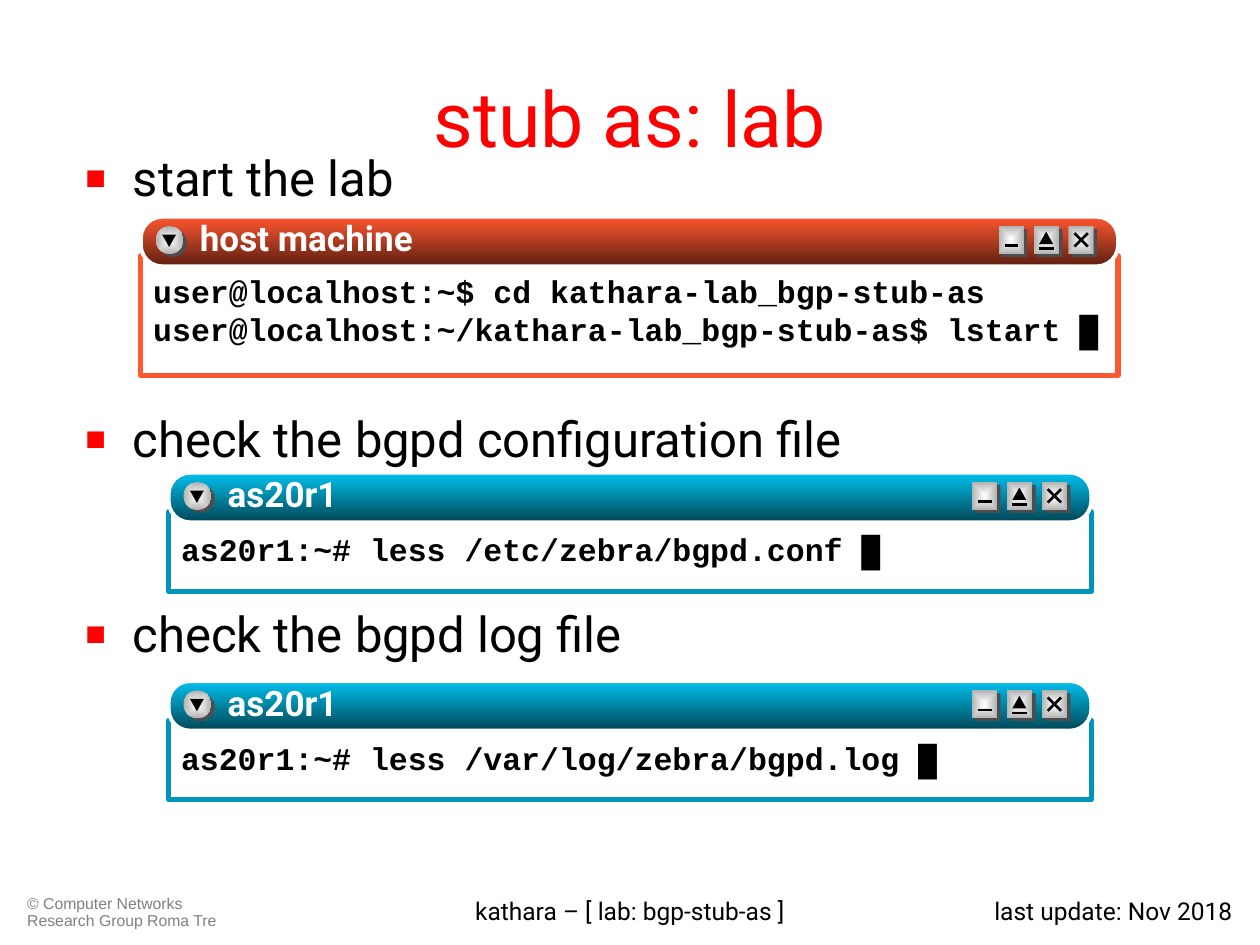
from lxml import etree
from pptx import Presentation
from pptx.dml.color import RGBColor
from pptx.enum import shapes, text
from pptx.oxml.ns import qn
from pptx.util import Cm, Pt

BLACK = RGBColor(0x00, 0x00, 0x00)
WHITE = RGBColor(0xFF, 0xFF, 0xFF)
RED = RGBColor(0xFF, 0x00, 0x00)
GREY = RGBColor(0x80, 0x80, 0x80)
DARK = RGBColor(0x4D, 0x4D, 0x4D)
SILVER = RGBColor(0xB2, 0xB2, 0xB2)
ORANGE = RGBColor(0xFF, 0x57, 0x2F)
BROWN = RGBColor(0x5C, 0x1F, 0x11)
TEAL = RGBColor(0x00, 0x95, 0xB8)
CYAN = RGBColor(0x00, 0xC1, 0xEE)
NAVY = RGBColor(0x00, 0x46, 0x56)

KIND = shapes.MSO_SHAPE
ALIGN = text.PP_ALIGN
ANCHOR = text.MSO_ANCHOR


def add_tag(parent, tag, **attrs):
    return etree.SubElement(parent, qn(tag), attrs)


def set_font(para, name, size, color, bold=False):
    font = para.font
    font.name, font.size, font.bold = name, Pt(size), bold
    font.color.rgb = color


def set_frame(frame, insets, wrap=True, anchor=ANCHOR.TOP):
    frame.word_wrap = wrap
    frame.auto_size = text.MSO_AUTO_SIZE.NONE
    frame.vertical_anchor = anchor
    (frame.margin_left, frame.margin_top,
     frame.margin_right, frame.margin_bottom) = map(Cm, insets)


def place(item, left, top, width, height):
    item.left, item.top = Cm(left), Cm(top)
    item.width, item.height = Cm(width), Cm(height)


def add_label(parent, box, words, name, size, color, align=ALIGN.LEFT,
              bold=False, insets=(0.25, 0.13, 0.25, 0.13)):
    label = parent.add_textbox(*map(Cm, box))
    set_frame(label.text_frame, insets)
    para = label.text_frame.paragraphs[0]
    para.text, para.alignment = words, align
    set_font(para, name, size, color, bold)
    return para


def add_form(parent, kind, box, color=None):
    form = parent.add_shape(kind, *map(Cm, box))
    form.shadow.inherit = False
    form.line.fill.background()
    if color is not None:
        form.fill.solid()
        form.fill.fore_color.rgb = color
    return form


def set_blend(form, start, end, radial=False):
    form.fill.gradient()
    form.fill.gradient_angle = 270
    for stop, color in zip(form.fill.gradient_stops, (start, end)):
        stop.color.rgb = color
    if radial:
        grad = form._element.spPr.find(qn("a:gradFill"))
        grad.remove(grad.find(qn("a:lin")))
        track = add_tag(grad, "a:path", path="rect")
        add_tag(track, "a:fillToRect", **dict.fromkeys("ltrb", "50000"))


def add_stroke(parent, x1, y1, x2, y2):
    line = parent.add_connector(shapes.MSO_CONNECTOR.STRAIGHT,
                                *map(Cm, (x1, y1, x2, y2)))
    line.line.color.rgb = BLACK
    line.line.width = Pt(1.5)
    add_tag(line._element.spPr, "a:effectLst")


def add_knob(parent, kind, left, top, width):
    """Raised button: a dark offset base under a shaded face."""
    add_form(parent, kind, (left + 0.07, top + 0.06, width, 0.56), DARK)
    face = add_form(parent, kind, (left, top, width, 0.56))
    set_blend(face, WHITE, SILVER, radial=True)


def add_bar(parent, left, top, width, title, colors):
    bar = add_form(parent, KIND.ROUNDED_RECTANGLE, (left, top, width, 1))
    bar.adjustments[0] = 0.43
    set_blend(bar, *colors)
    bar.line.color.rgb = WHITE
    bar.line.width = Pt(2.25)

    # Menu button
    add_knob(parent, KIND.OVAL, left + 0.3, top + 0.19, 0.56)
    arrow = add_form(parent, KIND.ISOSCELES_TRIANGLE,
                     (left + 0.43, top + 0.36, 0.28, 0.25), BLACK)
    arrow._element.spPr.find(qn("a:xfrm")).set("flipV", "1")

    # Minimise, maximise and close buttons
    y = top + 0.19
    low, big, shut = (left + width - gap for gap in (2.41, 1.7, 1))
    for x in (low, big, shut):
        add_knob(parent, KIND.RECTANGLE, x, y, 0.51)
    add_stroke(parent, low + 0.12, y + 0.39, low + 0.4, y + 0.39)
    add_stroke(parent, big + 0.11, y + 0.45, big + 0.4, y + 0.45)
    add_form(parent, KIND.ISOSCELES_TRIANGLE,
             (big + 0.11, y + 0.11, 0.28, 0.25), BLACK)
    for start, end in ((0.14, 0.41), (0.41, 0.14)):
        add_stroke(parent, shut + 0.12, y + start, shut + 0.39, y + end)

    # Window name with a text shadow
    para = add_label(parent, (left + 1.19, top, 6.6, 1), title, "Roboto", 20,
                     WHITE, bold=True, insets=(0, 0, 0, 0))
    glow = add_tag(para.runs[0]._r.get_or_add_rPr(), "a:effectLst")
    shade = add_tag(glow, "a:outerShdw", dist="17961", dir="2700000")
    add_tag(shade, "a:srgbClr", val="000000")


def add_window(slide, box, title, lines, edge, colors, inset, anchor):
    left, top, width, height = box
    parent = slide.shapes.add_group_shape().shapes
    pane = add_form(parent, KIND.RECTANGLE, (left, top + 0.79, width, height), WHITE)
    pane.line.color.rgb = edge
    pane.line.width = Pt(3)
    frame = pane.text_frame
    set_frame(frame, (0.25, inset, 0.25, 0.13), False, anchor)
    frame.text = "\n".join(lines)
    for para in frame.paragraphs:
        para.alignment = ALIGN.LEFT
        set_font(para, "Courier New", 18, BLACK, True)
    add_bar(parent, left, top, width, title, colors)


def fill_title(title, words):
    place(title, 1.27, 0.76, 22.86, 3.18)
    set_frame(title.text_frame, (0.25, 0.13, 0.25, 0.13), anchor=ANCHOR.MIDDLE)
    para = title.text_frame.paragraphs[0]
    para.text, para.alignment = words, ALIGN.CENTER
    set_font(para, "Roboto", 44, RED)


def fill_list(body, items):
    place(body, 1.47, 2.97, 23.06, 10.52)
    frame = body.text_frame
    set_frame(frame, (0.25, 0.13, 0.25, 0.13))
    frame.text = "\n".join(words for words, _ in items)
    for para, (_, gap) in zip(frame.paragraphs, items):
        para.line_spacing = 0.9
        para.space_before = Pt(gap)
        props = para._p.get_or_add_pPr()
        props.set("marL", str(Cm(0.96)))
        props.set("indent", str(-Cm(0.96)))
        add_tag(add_tag(props, "a:buClr"), "a:srgbClr", val=str(RED))
        add_tag(props, "a:buSzPct", val="70000")
        add_tag(props, "a:buChar", char="■")
        set_font(para, "Roboto", 28, BLACK)


def main():
    deck = Presentation()
    deck.slide_width, deck.slide_height = Cm(25.4), Cm(19.05)
    slide = deck.slides.add_slide(deck.slide_layouts[1])

    # Footer
    credit = add_label(slide.shapes, (0.3, 17.93, 4.4, 0.91),
                       "© Computer Networks Research Group Roma Tre",
                       "Arial", 9, GREY)
    credit.line_spacing = 0.9
    add_label(slide.shapes, (19.3, 17.93, 5.8, 0.91), "last update: Nov 2018",
              "Roboto", 14, BLACK, ALIGN.RIGHT)
    add_label(slide.shapes, (6.5, 17.93, 12.4, 0.91),
              "kathara – [ lab: bgp-stub-as ]", "Roboto", 14, BLACK, ALIGN.CENTER)

    # Title and steps, spaced to leave room for the windows
    fill_title(slide.shapes.title, "stub as: lab")
    fill_list(slide.placeholders[1], [
        ("start the lab", 0),
        ("check the bgpd configuration file", 119),
        ("check the bgpd log file", 81.5),
    ])

    # Terminal windows
    add_window(slide, (2.84, 4.37, 19.7, 2.41), "host machine",
               ["user@localhost:~$ cd kathara-lab_bgp-stub-as",
                "user@localhost:~/kathara-lab_bgp-stub-as$ lstart █"],
               ORANGE, (ORANGE, BROWN), 0.33, ANCHOR.TOP)
    for top, file in ((9.53, "/etc/zebra/bgpd.conf"), (13.73, "/var/log/zebra/bgpd.log")):
        add_window(slide, (3.4, top, 18.6, 1.6), "as20r1",
                   [f"as20r1:~# less {file} █"],
                   TEAL, (CYAN, NAVY), 0.03, ANCHOR.MIDDLE)

    deck.save("out.pptx")


if __name__ == "__main__":
    main()
